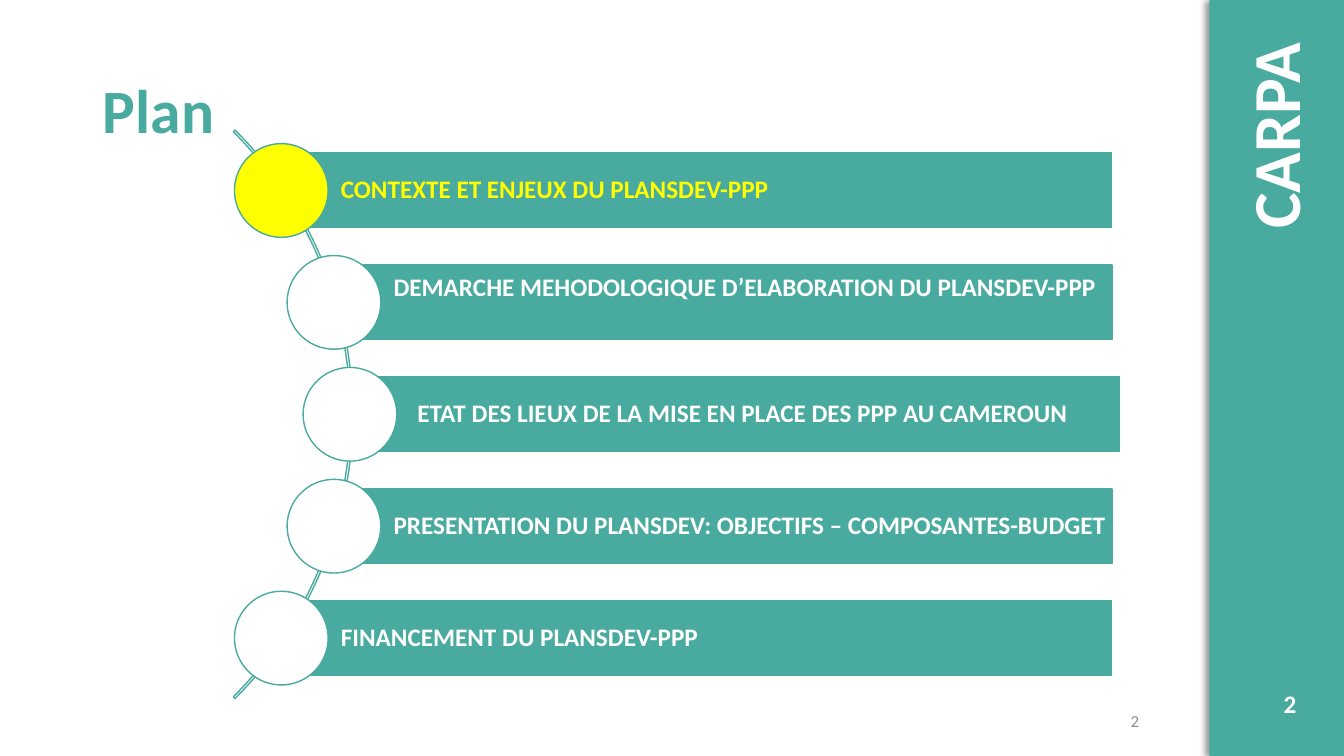
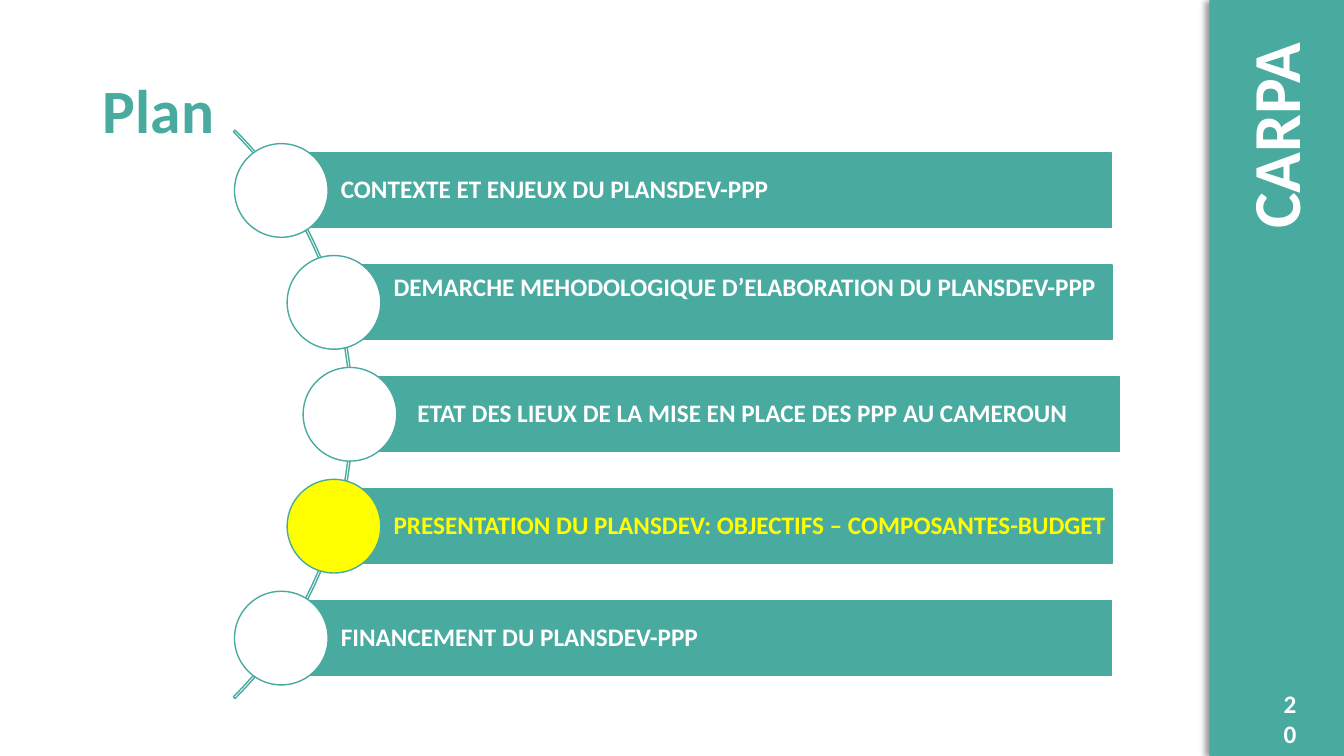
import math

import lxml.etree
import pptx
import pptx.dml.color
import pptx.enum.shapes
import pptx.enum.text
import pptx.oxml.ns
import pptx.util

Cm = pptx.util.Cm
SHAPE = pptx.enum.shapes.MSO_SHAPE
ALIGN = pptx.enum.text.PP_ALIGN
ANCHOR = pptx.enum.text.MSO_ANCHOR
TEAL, WHITE, YELLOW, GREY = "49AAA0", "FFFFFF", "FFFF00", "8C8C8C"

# Chapter, shift of its bar to the right, inset below its text (cm)
CHAPTERS = [
    ("CONTEXTE ET ENJEUX DU PLANSDEV-PPP", 0, 0.13),
    ("DEMARCHE MEHODOLOGIQUE D’ELABORATION DU PLANSDEV-PPP", 0, 0.85),
    ("ETAT DES LIEUX DE LA MISE EN PLACE DES PPP AU CAMEROUN", 0.2, 0.13),
    ("PRESENTATION DU PLANSDEV: OBJECTIFS – COMPOSANTES-BUDGET", 0, 0.13),
    ("FINANCEMENT DU PLANSDEV-PPP", 0, 0.13),
]
# Page number, current chapter, whether the small grey number shows
PAGES = [("2", 0, True), ("20", 3, False)]

ARC_X, ARC_Y, ARC_RADIUS = -1.24, 10.44, 10.13
CIRCLE_PATH_RADIUS = 10.06
ROW_STEP, BAR_HEIGHT, BAR_RIGHT, CIRCLE_SIZE = 2.82, 1.88, 28.02, 2.36


def add_shape(page, kind, left, top, width, height, fill=None, line=None):
    shape = page.shapes.add_shape(kind, Cm(left), Cm(top), Cm(width), Cm(height))
    shape.shadow.inherit = False
    for part, colour in ((shape.fill, fill), (shape.line.fill, line)):
        if colour:
            part.solid()
            part.fore_color.rgb = pptx.dml.color.RGBColor.from_string(colour)
        else:
            part.background()
    if line:
        shape.line.width = pptx.util.Pt(1)
    return shape


def write(shape, text, size, colour, bold=True, align=ALIGN.LEFT,
          anchor=ANCHOR.MIDDLE, spacing=1.0):
    frame = shape.text_frame
    frame.word_wrap = True
    frame.vertical_anchor = anchor
    para = frame.paragraphs[0]
    para.alignment = align
    para.line_spacing = spacing
    span = para.add_run()
    span.text = text
    font = {"name": "Calibri", "size": pptx.util.Pt(size), "bold": bold}
    for name, value in font.items():
        setattr(span.font, name, value)
    span.font.color.rgb = pptx.dml.color.RGBColor.from_string(colour)


deck = pptx.Presentation()
deck.slide_width, deck.slide_height = Cm(33.87), Cm(19.05)
layout = deck.slide_layouts[5]
pages = [deck.slides.add_slide(layout) for _ in PAGES]

# Side band and its name, moved to the shared layout
band = add_shape(pages[0], SHAPE.RECTANGLE, 30.48, 0, 3.39, 19.05, TEAL)
effects = band.element.spPr.find(pptx.oxml.ns.qn("a:effectLst"))
shadow = lxml.etree.SubElement(effects, pptx.oxml.ns.qn("a:outerShdw"),
                               blurRad="50800", dist="38100", dir="10800000")
shade = lxml.etree.SubElement(shadow, pptx.oxml.ns.qn("a:srgbClr"), val="000000")
lxml.etree.SubElement(shade, pptx.oxml.ns.qn("a:alpha"), val="40000")

band_name = pages[0].shapes.add_textbox(Cm(29.16), Cm(1.9), Cm(5.92), Cm(2.31))
band_name.rotation = 270
write(band_name, "CARPA", 48, WHITE, anchor=ANCHOR.TOP)
for shared in (band, band_name):
    layout.shapes.element.append(shared.element)

for page, (number, current, has_small_number) in zip(pages, PAGES):
    title = page.shapes.title
    place = {"left": 2.34, "top": 1.02, "width": 26.64, "height": 3.68}
    for name, value in place.items():
        setattr(title, name, Cm(value))
    write(title, "Plan", 44, TEAL, spacing=0.9)

    number_box = page.shapes.add_textbox(Cm(32.1), Cm(17.22), Cm(0.84), Cm(1.02))
    write(number_box, number, 18, WHITE, anchor=ANCHOR.TOP)

    arc = add_shape(page, SHAPE.BLOCK_ARC, ARC_X - ARC_RADIUS, ARC_Y - ARC_RADIUS,
                    2 * ARC_RADIUS, 2 * ARC_RADIUS, line=TEAL)
    for index, value in enumerate((189, 27, 0.003)):
        arc.adjustments[index] = value

    for row, (chapter, shift, inset_below) in enumerate(CHAPTERS):
        accent = YELLOW if row == current else WHITE
        rise = (row - 2) * ROW_STEP
        middle_x = ARC_X + math.sqrt(CIRCLE_PATH_RADIUS ** 2 - rise ** 2)
        middle_y = ARC_Y + rise
        bar = add_shape(page, SHAPE.RECTANGLE, middle_x + shift,
                        middle_y - BAR_HEIGHT / 2, BAR_RIGHT - middle_x,
                        BAR_HEIGHT, TEAL, TEAL)
        insets = {"left": 1.5, "top": 0.13, "right": 0, "bottom": inset_below}
        for side, value in insets.items():
            setattr(bar.text_frame, "margin_" + side, Cm(value))
        write(bar, chapter, 18, accent, spacing=0.9)
        add_shape(page, SHAPE.OVAL, middle_x - CIRCLE_SIZE / 2,
                  middle_y - CIRCLE_SIZE / 2, CIRCLE_SIZE, CIRCLE_SIZE, accent, TEAL)

    if has_small_number:
        small_number = page.shapes.add_textbox(Cm(21.97), Cm(17.65), Cm(6.99), Cm(1.02))
        write(small_number, number, 12, GREY, bold=False, align=ALIGN.RIGHT)

deck.save("out.pptx")
